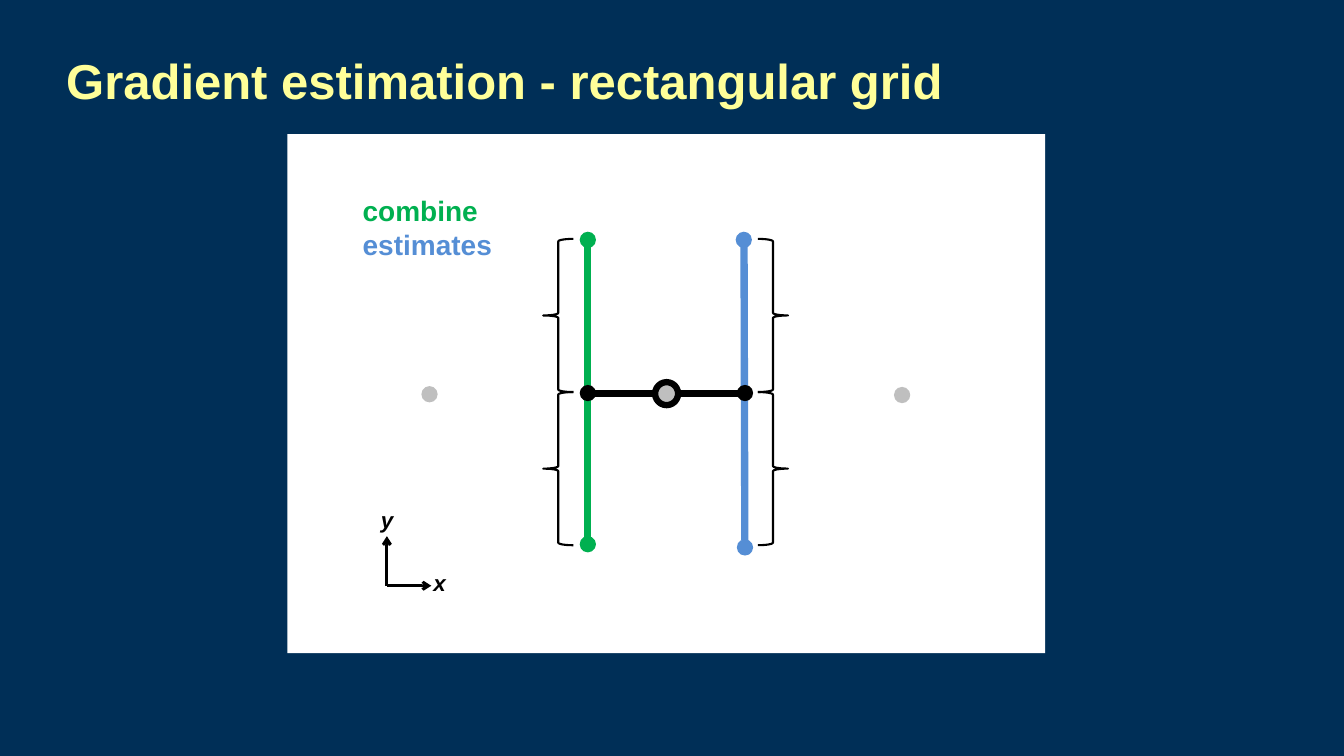
"""Build a slide on gradient estimation over a rectangular grid."""
from lxml.etree import SubElement
from pptx import Presentation
from pptx.dml.color import RGBColor
from pptx.enum.shapes import MSO_CONNECTOR as Connector, MSO_SHAPE as Shape
from pptx.enum.text import MSO_ANCHOR as Anchor
from pptx.oxml.ns import qn
from pptx.util import Cm, Pt

BLACK, GREY, GREEN, BLUE = "000000", "BFBFBF", "00B050", "558ED5"
DOT = 0.41


def paint(target, color):
    if hasattr(target, "solid"):
        target.solid()
        target = target.fore_color
    target.rgb = RGBColor.from_string(color)


def add_text(lines, box, size, italic=False, anchor=Anchor.TOP):
    frame = slide.shapes.add_textbox(*map(Cm, box)).text_frame
    frame.word_wrap = True
    frame.vertical_anchor = anchor
    for index, (text, color) in enumerate(lines):
        paragraph = frame.paragraphs[0] if index == 0 else frame.add_paragraph()
        run = paragraph.add_run()
        run.text = text
        run.font.name = "Arial"
        run.font.size = Pt(size)
        run.font.bold = True
        run.font.italic = italic
        paint(run.font.color, color)


presentation = Presentation()
presentation.slide_width, presentation.slide_height = Cm(33.87), Cm(19.05)
slide = presentation.slides.add_slide(presentation.slide_layouts[6])
paint(slide.background.fill, "002F57")

panel = (Shape.RECTANGLE, (7.24, 3.38, 19.1, 13.08), "FFFFFF", None, 0)
dots = [
    (Shape.OVAL, (left, top, DOT, DOT), color, None, 0)
    for left, top, color in [
        (14.61, 9.7, BLACK), (18.57, 9.7, BLACK),
        (10.62, 9.73, GREY), (22.53, 9.75, GREY),
        (18.54, 5.84, BLUE), (18.57, 13.59, BLUE),
        (14.61, 5.84, GREEN), (14.61, 13.51, GREEN),
    ]
]
braces = [
    (kind, (left, top, 0.76, 3.86), None, BLACK, 1.5)
    for kind, left in [(Shape.LEFT_BRACE, 13.69), (Shape.RIGHT_BRACE, 19.1)]
    for top in (6.02, 9.88)
]
center_ring = (Shape.OVAL, (16.51, 9.63, 0.58, 0.58), GREY, BLACK, 4.5)

grid_lines = [
    ((14.81, 13.59), (14.81, 6.15), GREEN, 5.25, False),
    ((18.77, 13.61), (18.75, 6.1), BLUE, 5.25, False),
    ((14.78, 9.91), (18.77, 9.91), BLACK, 5.25, False),
    ((9.75, 14.76), (9.75, 13.51), BLACK, 2, True),
    ((9.75, 14.76), (10.87, 14.76), BLACK, 2, True),
]

for group in ([panel], grid_lines, dots + braces + [center_ring]):
    if group is grid_lines:
        for start, end, color, width, has_arrow in grid_lines:
            connector = slide.shapes.add_connector(
                Connector.STRAIGHT, *map(Cm, start + end))
            paint(connector.line.fill, color)
            connector.line.width = Pt(width)
            if has_arrow:
                SubElement(connector.line.fill._xPr, qn("a:tailEnd"), type="arrow")
            SubElement(connector._element.spPr, qn("a:effectLst"))
        continue
    for kind, box, fill_color, line_color, width in group:
        shape = slide.shapes.add_shape(kind, *map(Cm, box))
        shape.shadow.inherit = False
        if fill_color:
            paint(shape.fill, fill_color)
        else:
            shape.fill.background()
        if line_color:
            paint(shape.line.fill, line_color)
            shape.line.width = Pt(width)
        else:
            shape.line.fill.background()

add_text([("Gradient estimation - rectangular grid", "FFFF99")],
         (1.42, 0.43, 30.76, 3.18), 35, anchor=Anchor.MIDDLE)
add_text([("x", BLACK)], (10.67, 14.22, 0.97, 0.94), 16, italic=True)
add_text([("y", BLACK)], (9.35, 12.62, 0.97, 0.94), 16, italic=True)
add_text([("combine", GREEN), ("estimates", BLUE)], (8.89, 4.75, 5.87, 1.96), 20)

presentation.save("out.pptx")
